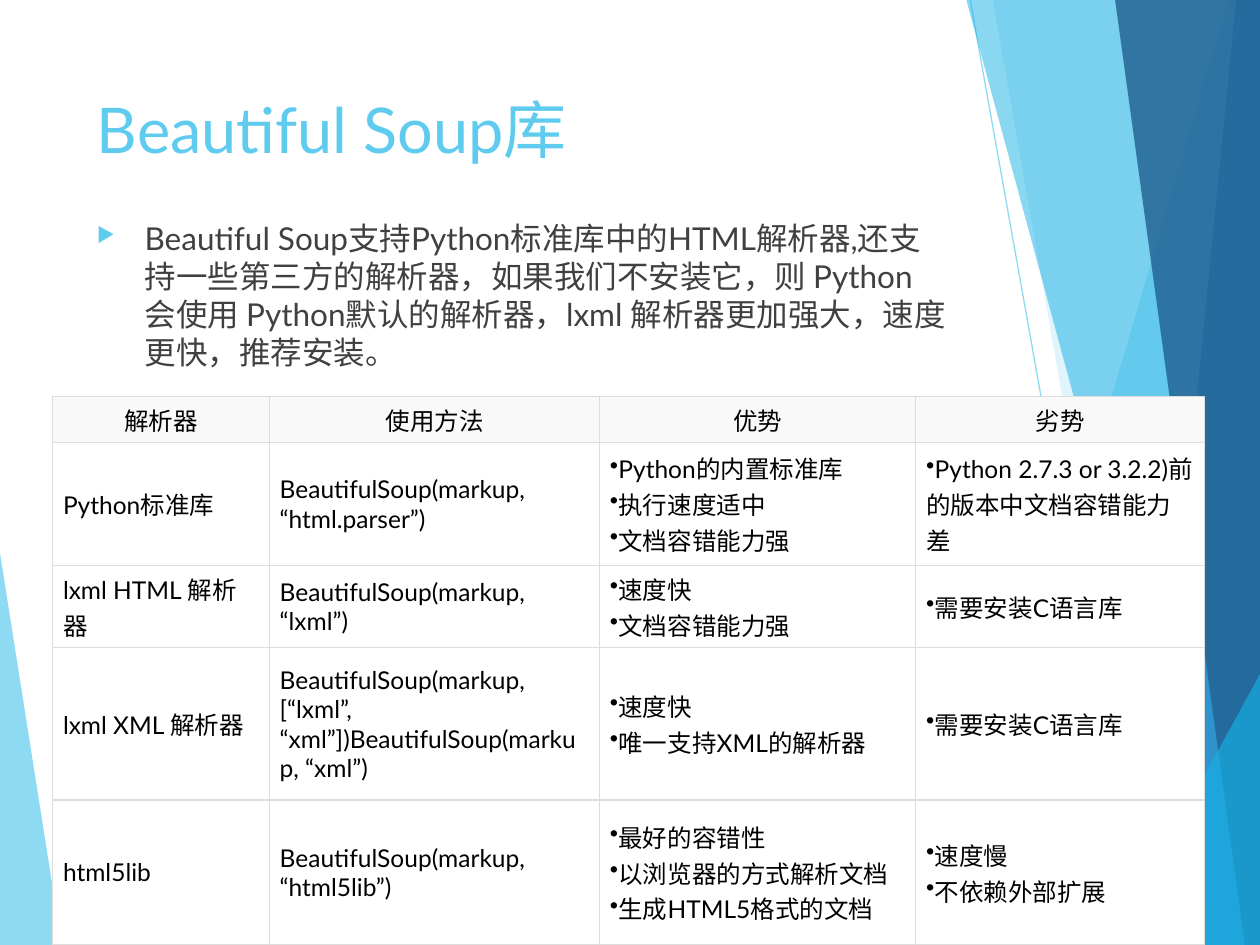
import dataclasses

import pptx
import pptx.dml.color
import pptx.enum.shapes
import pptx.enum.text
import pptx.oxml
import pptx.oxml.ns
import pptx.oxml.xmlchemy
import pptx.util

COLUMNS, ROWS = 10, 7.5


@dataclasses.dataclass(frozen=True)
class Theme:
    font: str = "Lato"
    sky: str = "5FCBEF"
    cyan: str = "17B0E4"
    blue: str = "2E83C3"
    navy: str = "226292"
    body: str = "404040"
    black: str = "000000"
    white: str = "FFFFFF"
    header: str = "F9F9F9"
    border: str = "DDDDDD"
    title_size: int = 36
    body_size: int = 18
    table_size: int = 14
    line_width: float = 0.75


def rgb(color):
    return pptx.dml.color.RGBColor.from_string(color)


def add_xml(parent, tag, **attributes):
    child = pptx.oxml.xmlchemy.OxmlElement(tag)
    for name, value in attributes.items():
        child.set(name, str(value))
    parent.append(child)
    return child


def set_opacity(shape, percent):
    color = shape._element.spPr.find(".//" + pptx.oxml.ns.qn("a:srgbClr"))
    add_xml(color, "a:alpha", val=percent * 1000)


class SlideBuilder:
    """Places elements on a slide divided into COLUMNS by ROWS."""

    def __init__(self, presentation, theme):
        self.theme = theme
        self.column = presentation.slide_width / COLUMNS
        self.row = presentation.slide_height / ROWS
        self.slide = presentation.slides.add_slide(presentation.slide_layouts[6])

    def point(self, column, row):
        return round(column * self.column), round(row * self.row)

    def polygon(self, points, color, opacity):
        corners = [self.point(*corner) for corner in points]
        builder = self.slide.shapes.build_freeform(*corners[0])
        builder.add_line_segments(corners[1:], close=True)
        shape = builder.convert_to_shape()
        shape.shadow.inherit = False
        shape.fill.solid()
        shape.fill.fore_color.rgb = rgb(color)
        shape.line.fill.background()
        set_opacity(shape, opacity)

    def line(self, start, end, color, opacity):
        connector = self.slide.shapes.add_connector(
            pptx.enum.shapes.MSO_CONNECTOR.STRAIGHT, *self.point(*start), *self.point(*end))
        connector.line.color.rgb = rgb(color)
        connector.line.width = pptx.util.Pt(self.theme.line_width)
        add_xml(connector._element.spPr, "a:effectLst")
        set_opacity(connector, opacity)

    def run(self, paragraph, text, size, color):
        run = paragraph.add_run()
        run.text = text
        run.font.name = self.theme.font
        run.font.size = pptx.util.Pt(size)
        run.font.color.rgb = rgb(color)

    def text(self, position, extent, text, size, color):
        box = self.slide.shapes.add_textbox(*self.point(*position), *self.point(*extent))
        box.text_frame.word_wrap = True
        paragraph = box.text_frame.paragraphs[0]
        self.run(paragraph, text, size, color)
        return paragraph

    def bullet_text(self, position, extent, text, size, color):
        paragraph = self.text(position, extent, text, size, color)
        paragraph.space_before = pptx.util.Pt(10)
        properties = paragraph._p.get_or_add_pPr()
        indent = round(0.38 * self.column)
        properties.set("marL", str(indent))
        properties.set("indent", str(-indent))
        add_xml(add_xml(properties, "a:buClr"), "a:srgbClr", val=self.theme.sky)
        add_xml(properties, "a:buSzPct", val=65000)
        add_xml(properties, "a:buChar", char="▶")

    def cell_border(self, cell):
        properties = cell._tc.get_or_add_tcPr()
        width = pptx.util.Pt(self.theme.line_width)
        for side in "LRTB":
            edge = add_xml(properties, f"a:ln{side}", w=int(width))
            add_xml(add_xml(edge, "a:solidFill"), "a:srgbClr", val=self.theme.border)

    def cell(self, cell, content, is_header):
        """Fill a cell; a list of lines becomes bulleted paragraphs."""
        self.cell_border(cell)
        cell.fill.solid()
        cell.fill.fore_color.rgb = rgb(self.theme.header if is_header else self.theme.white)
        cell.vertical_anchor = pptx.enum.text.MSO_ANCHOR.MIDDLE
        cell.margin_left = cell.margin_right = round(0.08 * self.column)
        cell.margin_top = cell.margin_bottom = round(0.04 * self.row)
        bulleted = isinstance(content, list)
        frame = cell.text_frame
        for index, line in enumerate(content if bulleted else [content]):
            paragraph = frame.add_paragraph() if index else frame.paragraphs[0]
            if is_header:
                paragraph.alignment = pptx.enum.text.PP_ALIGN.CENTER
            if bulleted:
                add_xml(paragraph._p.get_or_add_pPr(), "a:buChar", char="•")
            self.run(paragraph, line, self.theme.table_size, self.theme.black)

    def table(self, position, widths, heights, contents):
        table = self.slide.shapes.add_table(
            len(heights), len(widths), *self.point(*position),
            *self.point(sum(widths), sum(heights))).table
        table.first_row = table.horz_banding = False
        for column, width in zip(table.columns, widths):
            column.width = round(width * self.column)
        for row, height in zip(table.rows, heights):
            row.height = round(height * self.row)
        for row_index, row in enumerate(contents):
            for column_index, content in enumerate(row):
                self.cell(table.cell(row_index, column_index), content, row_index == 0)


PARSERS = [
    ["解析器", "使用方法", "优势", "劣势"],
    ["Python标准库", "BeautifulSoup(markup, “html.parser”)",
     ["Python的内置标准库", "执行速度适中", "文档容错能力强"],
     ["Python 2.7.3 or 3.2.2)前 的版本中文档容错能力差"]],
    ["lxml HTML 解析器", "BeautifulSoup(markup, “lxml”)",
     ["速度快", "文档容错能力强"], ["需要安装C语言库"]],
    ["lxml XML 解析器",
     "BeautifulSoup(markup, [“lxml”, “xml”])BeautifulSoup(markup, “xml”)",
     ["速度快", "唯一支持XML的解析器"], ["需要安装C语言库"]],
    ["html5lib", "BeautifulSoup(markup, “html5lib”)",
     ["最好的容错性", "以浏览器的方式解析文档", "生成HTML5格式的文档"],
     ["速度慢", "不依赖外部扩展"]],
]


def draw_facets(builder):
    theme = builder.theme
    top_right, bottom_right = (COLUMNS, 0), (COLUMNS, ROWS)
    builder.polygon([(0, 4.39), (0.49, ROWS), (0, ROWS)], theme.sky, 70)
    builder.line((5.61, ROWS), (COLUMNS, 4.57), theme.sky, 70)
    builder.line((7.7, 0), (9.04, ROWS), theme.sky, 70)
    for top, bottom, color, opacity in [
        (9.75, 7.54, theme.sky, 36),
        (7.88, 9.19, theme.sky, 20),
    ]:
        builder.polygon([(top, 0), (bottom, ROWS), bottom_right, top_right], color, opacity)
    builder.polygon([(7.26, ROWS), (COLUMNS, 4.29), bottom_right], theme.cyan, 66)
    for top, bottom, color, opacity in [
        (7.67, 9.7, theme.cyan, 50),
        (9.81, 9.07, theme.blue, 70),
        (8.85, 9.88, theme.navy, 82),
    ]:
        builder.polygon([(top, 0), (bottom, ROWS), bottom_right, top_right], color, opacity)
    builder.polygon([(8.82, ROWS), (COLUMNS, 5.35), bottom_right], theme.cyan, 66)


def main():
    presentation = pptx.Presentation()
    presentation.slide_width = pptx.util.Inches(10)
    presentation.slide_height = pptx.util.Inches(7.5)
    theme = Theme()
    builder = SlideBuilder(presentation, theme)
    draw_facets(builder)
    builder.text((0.67, 0.67), (6.94, 1), "Beautiful Soup库", theme.title_size, theme.sky)
    builder.bullet_text(
        (0.67, 1.69), (6.94, 1.4),
        "Beautiful Soup支持Python标准库中的HTML解析器,还支持一些第三方的解析器，"
        "如果我们不安装它，则 Python 会使用 Python默认的解析器，"
        "lxml 解析器更加强大，速度更快，推荐安装。",
        theme.body_size, theme.body)
    builder.table((0.42, 3.15), [1.72, 2.62, 2.51, 2.29],
                  [0.36, 0.98, 0.65, 1.21, 1.15], PARSERS)
    presentation.save("out.pptx")


if __name__ == "__main__":
    main()
